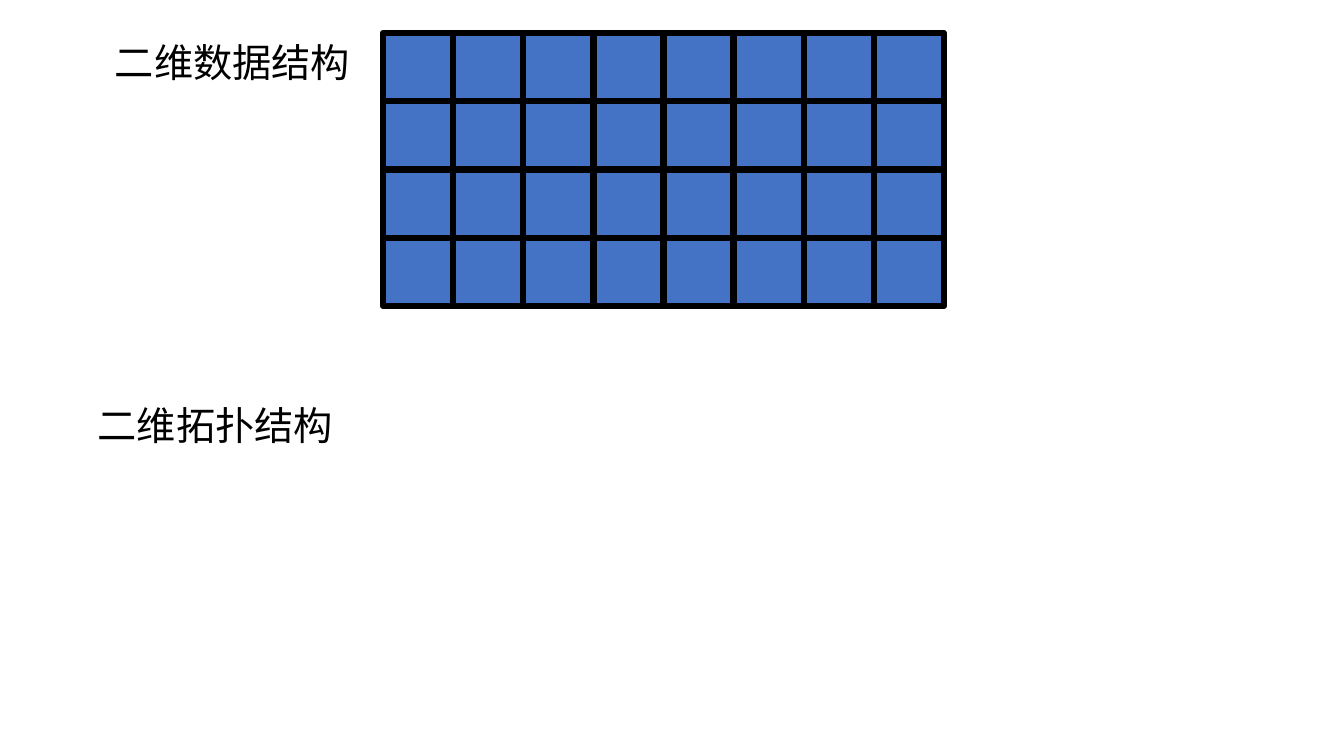
import lxml.etree
import pptx
import pptx.dml.color
import pptx.enum.shapes
import pptx.enum.text
import pptx.oxml.ns
import pptx.util

SCALE = 914400 / 100.8
BLUE = pptx.dml.color.RGBColor(0x44, 0x72, 0xC4)
BLACK = pptx.dml.color.RGBColor(0, 0, 0)
FONT = "Noto Sans CJK SC"
LABEL_FORMAT = {"name": FONT, "size": pptx.util.Pt(28)}
FRAME_FORMAT = {
    "word_wrap": True,
    "auto_size": pptx.enum.text.MSO_AUTO_SIZE.SHAPE_TO_FIT_TEXT,
}


def px(n):
    return pptx.util.Emu(round(n * SCALE))


def set_all(obj, values):
    for key, value in values.items():
        setattr(obj, key, value)


def add_grid(s, box, rows, cols):
    x, y, w, h = box
    group = s.shapes.add_group_shape()
    for row in range(rows):
        for col in range(cols):
            sp = group.shapes.add_shape(
                pptx.enum.shapes.MSO_SHAPE.RECTANGLE,
                px(x + col * w / cols), px(y + row * h / rows),
                px(w / cols), px(h / rows))
            sp.shadow.inherit = False
            sp.fill.solid()
            sp.fill.fore_color.rgb = BLUE
            sp.line.color.rgb = BLACK
            sp.line.width = pptx.util.Pt(4.5)


def add_label(s, box, text):
    sp = s.shapes.add_textbox(*map(px, box))
    tf = sp.text_frame
    set_all(tf, FRAME_FORMAT)
    r = tf.paragraphs[0].add_run()
    r.text = text
    set_all(r.font, LABEL_FORMAT)
    r.font.color.rgb = BLACK
    ea = lxml.etree.SubElement(r.font._element, pptx.oxml.ns.qn("a:ea"))
    ea.set("typeface", FONT)


prs = pptx.Presentation()
set_all(prs, {"slide_width": px(1344), "slide_height": px(756)})
s = prs.slides.add_slide(prs.slide_layouts[6])
add_grid(s, (383, 33, 561, 273), 4, 8)
add_label(s, (105, 33, 295, 57), "二维数据结构")
add_label(s, (88, 396, 295, 57), "二维拓扑结构")
prs.save("out.pptx")
